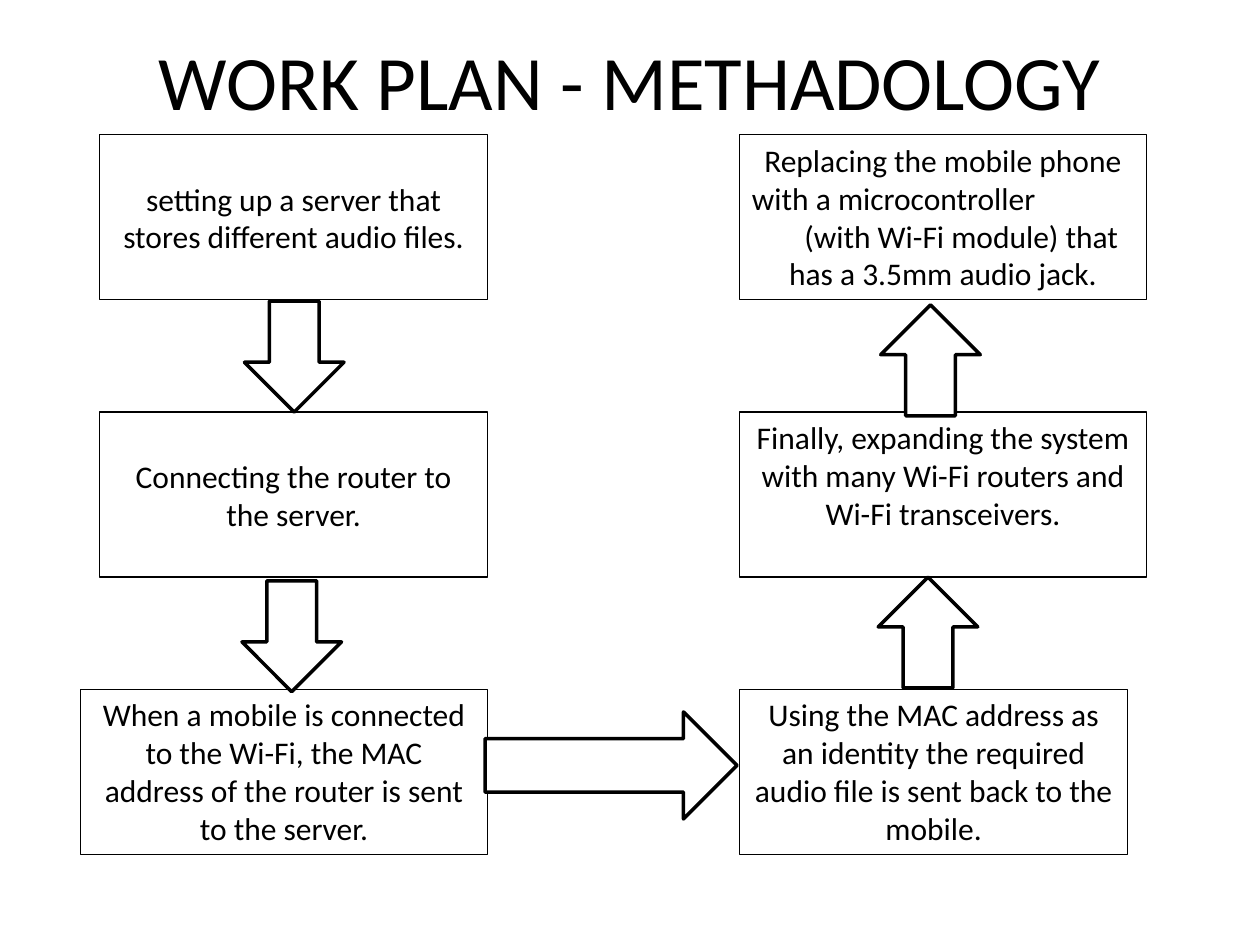
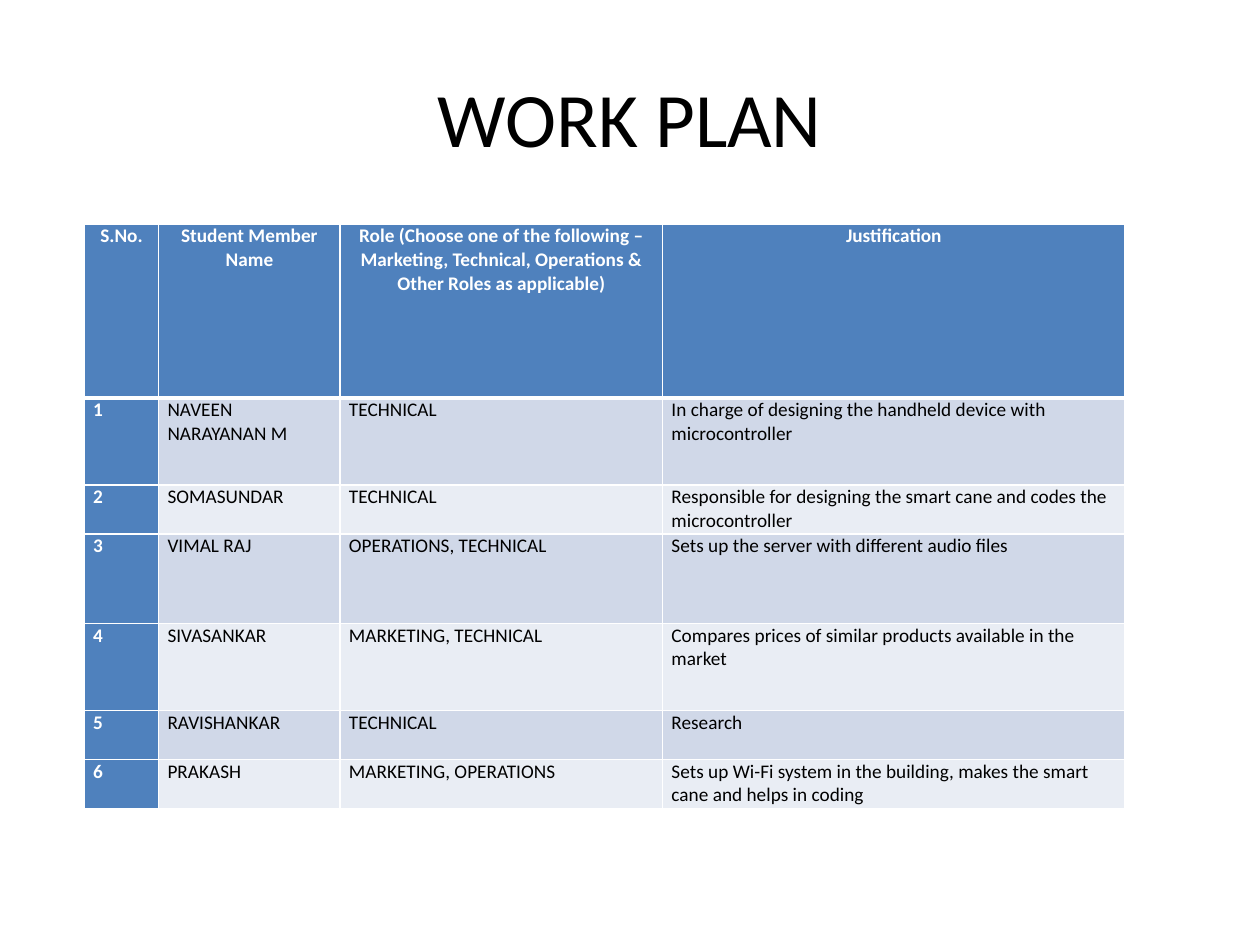
from lxml import etree
from pptx import Presentation
from pptx.dml.color import RGBColor
from pptx.enum.shapes import MSO_SHAPE
from pptx.enum.text import MSO_ANCHOR, PP_ALIGN
from pptx.oxml.ns import qn
from pptx.util import Inches, Pt

RECT, DOWN, RIGHT = MSO_SHAPE.RECTANGLE, MSO_SHAPE.DOWN_ARROW, MSO_SHAPE.RIGHT_ARROW
TOP, MIDDLE = MSO_ANCHOR.TOP, MSO_ANCHOR.MIDDLE
LEFT, CENTER = PP_ALIGN.LEFT, PP_ALIGN.CENTER
COLORS = {k: RGBColor.from_string(v) for k, v in {
    "ink": "000000", "paper": "FFFFFF", "header": "4F81BD",
    "band_dark": "D0D8E8", "band_light": "E9EDF4"}.items()}
FONT = "Calibri"


def write(tf, text, size=18, color="ink", bold=False, align=CENTER, anchor=TOP):
    """Fill a text frame, one paragraph per line of text."""
    tf.word_wrap = True
    tf.vertical_anchor = anchor
    for i, line in enumerate(text.split("\n")):
        p = tf.add_paragraph() if i else tf.paragraphs[0]
        p.alignment = align
        r = p.add_run()
        r.text = line
        r.font.name, r.font.size, r.font.bold = FONT, Pt(size), bold
        r.font.color.rgb = COLORS[color]


def add_outlined(s, kind, x, y, w, h, line_width):
    sp = s.shapes.add_shape(kind, Inches(x), Inches(y), Inches(w), Inches(h))
    sp.shadow.inherit = False
    sp.line.color.rgb = COLORS["ink"]
    sp.line.width = Pt(line_width)
    return sp


prs = Presentation()
prs.slide_width, prs.slide_height = Inches(10), Inches(7.5)

# Titled slides
slides = []
for title, top, height in [("WORK PLAN - METHADOLOGY", 0.09, 1.09),
                           ("WORK PLAN", 0.3, 1.25)]:
    s = prs.slides.add_slide(prs.slide_layouts[5])
    sp = s.shapes.title
    sp.left, sp.top, sp.width, sp.height = map(Inches, (0.5, top, 9, height))
    write(sp.text_frame, title, size=44, anchor=MIDDLE)
    slides.append(s)
flow, team = slides

# Flow chart: steps down the left column, then up the right one
ROW_TOP, ROW_STEP, BOX_H = 1.07, 2.2, 1.31
RIGHT_X = 5.87
steps = [
    (0.79, 0, 3.08, MIDDLE, "setting up a server that stores different audio files."),
    (0.79, 1, 3.08, MIDDLE, "Connecting the router to the server."),
    (0.64, 2, 3.23, TOP, "When a mobile is connected to the Wi-Fi, the MAC address "
                         "of the router is sent to the server."),
    (RIGHT_X, 2, 3.08, TOP, "Using the MAC address as an identity the required "
                            "audio file is sent back to the mobile."),
    (RIGHT_X, 1, 3.23, TOP, "Finally, expanding the system with many Wi-Fi routers "
                            "and Wi-Fi transceivers."),
    (RIGHT_X, 0, 3.23, TOP, "Replacing the mobile phone\nwith a microcontroller\n"
                            "(with Wi-Fi module) that has a 3.5mm audio jack."),
]
for x, row, w, anchor, text in steps:
    box = add_outlined(flow, RECT, x, ROW_TOP + row * ROW_STEP, w, BOX_H, 0.75)
    box.fill.background()
    write(box.text_frame, text, anchor=anchor)

# The last step has a left-aligned line and an indented one
_, device, module = box.text_frame.paragraphs
device.alignment = LEFT
module._p.get_or_add_pPr().set("indent", str(Inches(0.29)))

ARROW_W, ARROW_H = 0.79, 0.88
arrows = [
    (DOWN, 1.94, 2.39, ARROW_W, ARROW_H, 0),
    (DOWN, 1.92, 4.61, ARROW_W, ARROW_H, 0),
    (DOWN, 6.99, 2.42, ARROW_W, ARROW_H, 180),
    (DOWN, 6.97, 4.58, ARROW_W, ARROW_H, 180),
    (RIGHT, 3.85, 5.65, 2, 0.85, 0),
]
for kind, x, y, w, h, angle in arrows:
    arrow = add_outlined(flow, kind, x, y, w, h, 2)
    arrow.fill.solid()
    arrow.fill.fore_color.rgb = COLORS["paper"]
    arrow.rotation = angle

# Team table
rows = [
    ("S.No.", "Student Member Name",
     "Role (Choose one of the following – Marketing, Technical, Operations & "
     "Other Roles as applicable)", "Justification"),
    ("1", "NAVEEN NARAYANAN M", "TECHNICAL",
     "In charge of designing the handheld device with microcontroller"),
    ("2", "SOMASUNDAR", "TECHNICAL",
     "Responsible for designing the smart cane and codes the microcontroller"),
    ("3", "VIMAL RAJ", "OPERATIONS, TECHNICAL",
     "Sets up the server with different audio files"),
    ("4", "SIVASANKAR", "MARKETING, TECHNICAL",
     "Compares prices of similar products available in the market"),
    ("5", "RAVISHANKAR", "TECHNICAL", "Research"),
    ("6", "PRAKASH", "MARKETING, OPERATIONS",
     "Sets up Wi-Fi system in the building, makes the smart cane and helps in coding"),
]
col_widths = [0.59, 1.44, 2.56, 3.67]
row_heights = [1.38, 0.69, 0.39, 0.71, 0.69, 0.39, 0.39]
table = team.shapes.add_table(
    len(rows), len(col_widths), Inches(0.67), Inches(1.78),
    Inches(sum(col_widths)), Inches(sum(row_heights))).table
for col, w in zip(table.columns, col_widths):
    col.width = Inches(w)
for row, h in zip(table.rows, row_heights):
    row.height = Inches(h)

for i, row in enumerate(rows):
    for j, text in enumerate(row):
        cell = table.cell(i, j)
        heading = i == 0 or j == 0
        cell.margin_left = cell.margin_right = Inches(0.07)
        cell.margin_top = cell.margin_bottom = 0
        write(cell.text_frame, text, size=11, bold=heading,
              color="paper" if heading else "ink", align=LEFT if i else CENTER)
        tcPr = cell._tc.get_or_add_tcPr()
        for side in ("lnL", "lnR", "lnT", "lnB"):
            thick = (i == 0 and side == "lnB") or (i == 1 and side == "lnT")
            ln = etree.SubElement(tcPr, qn(f"a:{side}"), w=str(Pt(3 if thick else 1)))
            fill = etree.SubElement(ln, qn("a:solidFill"))
            etree.SubElement(fill, qn("a:srgbClr"), val=str(COLORS["paper"]))
        band = "band_dark" if i % 2 else "band_light"
        cell.fill.solid()
        cell.fill.fore_color.rgb = COLORS["header" if heading else band]

prs.save("out.pptx")
